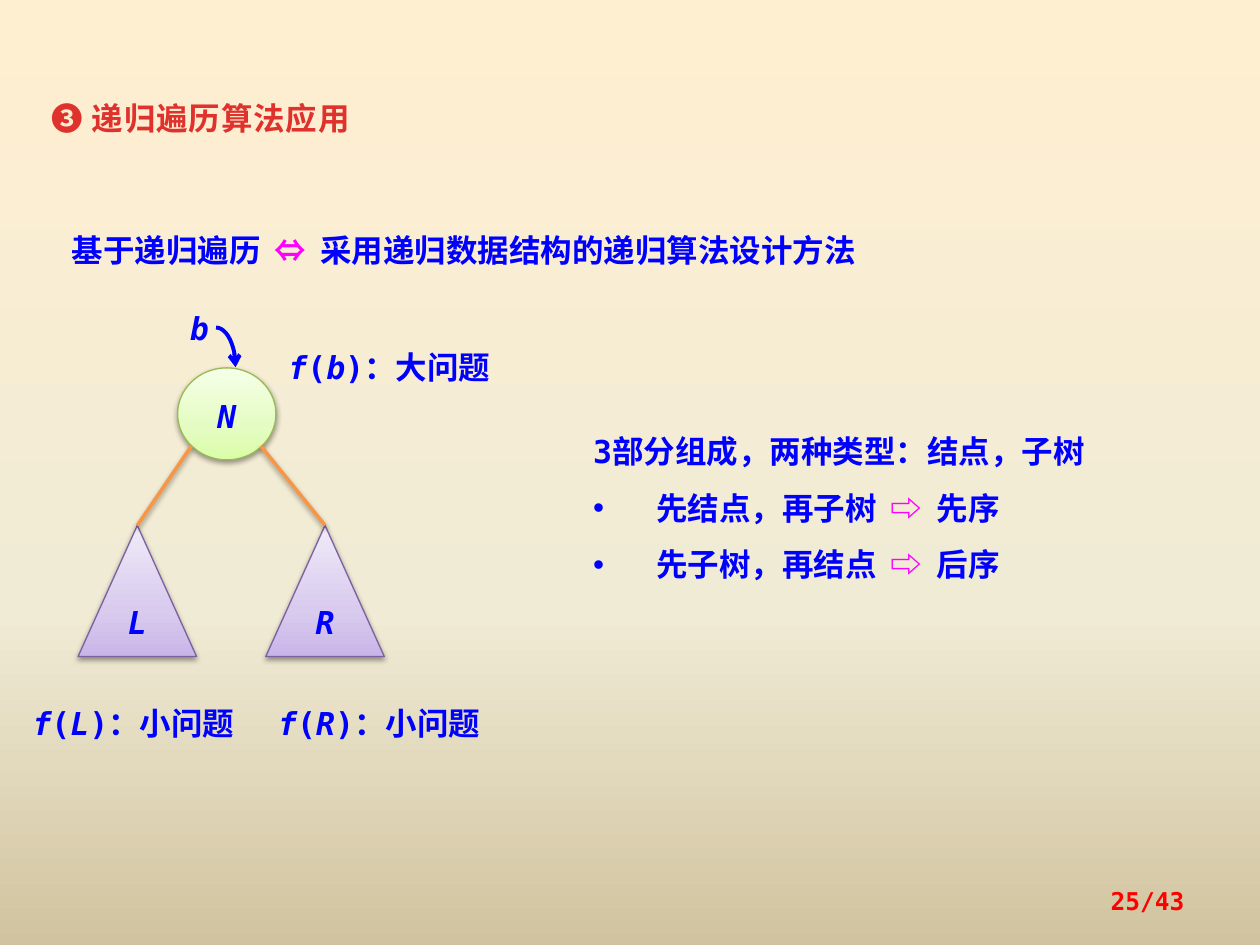
from copy import deepcopy

from lxml.etree import SubElement
from pptx import Presentation
from pptx.dml.color import RGBColor
from pptx.enum.shapes import MSO_CONNECTOR, MSO_SHAPE
from pptx.enum.text import MSO_ANCHOR, MSO_AUTO_SIZE, PP_ALIGN
from pptx.oxml.ns import qn
from pptx.util import Emu, Pt

PX = 9144  # 100 px to the inch
BLUE = RGBColor(0x00, 0x00, 0xFF)
MAGENTA = RGBColor(0xFF, 0x00, 0xFF)
RED = RGBColor(0xFF, 0x00, 0x00)
ORANGE = RGBColor(0xF7, 0x96, 0x46)
GREEN_EDGE = RGBColor(0x98, 0xB9, 0x55)
PURPLE_EDGE = RGBColor(0x7D, 0x60, 0xA0)

# Gradients: (percent, colour)
SAND = [(0, RGBColor(0xFF, 0xEF, 0xD1)), (65, RGBColor(0xF0, 0xEB, 0xD5)),
        (100, RGBColor(0xD1, 0xC3, 0x9F))]
GREEN = [(0, RGBColor(0xDA, 0xFD, 0xA7)), (35, RGBColor(0xE4, 0xFC, 0xC2)),
         (100, RGBColor(0xF5, 0xFF, 0xE7))]
PURPLE = [(0, RGBColor(0xC9, 0xB5, 0xE8)), (35, RGBColor(0xD8, 0xCB, 0xEE)),
          (100, RGBColor(0xF0, 0xEA, 0xF9))]
TITLE_RED = [(25, RGBColor(0xE0, 0x32, 0x2D)), (100, RGBColor(0xA2, 0x20, 0x1C))]
DOWN, UP = 270, 90  # counter-clockwise degrees


def px(*lengths):
    return [Emu(length * PX) for length in lengths]


class Board:
    latin = "DejaVu Sans Mono"
    asian = "Noto Sans CJK SC"

    def __init__(self, slide):
        self.slide = slide
        self.shapes = slide.shapes

    def background(self, stops):
        self.gradient(self.slide.background.fill, self.slide.element, stops, DOWN)

    def gradient(self, fill, owner, stops, angle):
        fill.gradient()
        fill.gradient_angle = angle
        stop_list = owner.find(".//" + qn("a:gsLst"))
        while len(stop_list) < len(stops):
            stop_list.append(deepcopy(stop_list[0]))
        for stop, (percent, color) in zip(fill.gradient_stops, stops):
            stop.position = percent / 100
            stop.color.rgb = color

    def shadow(self, shape):
        effects = shape.element.spPr.find(qn("a:effectLst"))
        if effects is None:
            effects = SubElement(shape.element.spPr, qn("a:effectLst"))
        outer = SubElement(effects, qn("a:outerShdw"), blurRad="40000",
                           dist="20000", dir="5400000", rotWithShape="0")
        black = SubElement(outer, qn("a:srgbClr"), val="000000")
        SubElement(black, qn("a:alpha"), val="38000")

    def span(self, para, text, color=BLUE, size=18, italic=False, font=None,
             spacing=0, stops=None):
        span = para.add_run()
        span.text = text
        span.font.name = font or self.latin
        span.font.size = Pt(size)
        span.font.bold = True
        span.font.italic = italic
        if stops:
            self.gradient(span.font.fill, para._p, stops, DOWN)
        else:
            span.font.fill.solid()
            span.font.fill.fore_color.rgb = color
        properties = span.font._element if hasattr(span.font, "_element") else span._r.get_or_add_rPr()
        if spacing:
            properties.set("spc", str(int(spacing * 100)))
        SubElement(properties, qn("a:ea"), typeface=self.asian)

    def spans(self, para, items):
        for text, style in items:
            self.span(para, text, **style)

    def bullet(self, para):
        properties = para._p.get_or_add_pPr()
        properties.set("marL", str(50 * PX))
        properties.set("indent", str(-50 * PX))
        SubElement(properties, qn("a:buFont"), typeface="Arial")
        SubElement(properties, qn("a:buChar"), char="•")

    def text(self, place, paras, spacing=Pt(30), align=PP_ALIGN.LEFT,
             anchor=MSO_ANCHOR.TOP, grow=True):
        """Each para is (bulleted, spans)."""
        frame = self.shapes.add_textbox(*px(*place)).text_frame
        frame.word_wrap = True
        frame.vertical_anchor = anchor
        if grow:
            frame.auto_size = MSO_AUTO_SIZE.SHAPE_TO_FIT_TEXT
        for index, (bulleted, items) in enumerate(paras):
            para = frame.add_paragraph() if index else frame.paragraphs[0]
            para.alignment = align
            para.line_spacing = spacing
            if bulleted:
                self.bullet(para)
            self.spans(para, items)

    def node(self, kind, place, label, stops, edge, spacing):
        shape = self.shapes.add_shape(kind, *px(*place))
        shape.shadow.inherit = False
        self.gradient(shape.fill, shape.element, stops, UP)
        shape.line.color.rgb = edge
        shape.line.width = Pt(0.75)
        self.shadow(shape)
        shape.text_frame.vertical_anchor = MSO_ANCHOR.MIDDLE
        para = shape.text_frame.paragraphs[0]
        para.alignment = PP_ALIGN.CENTER
        para.line_spacing = spacing
        self.span(para, label, italic=True)

    def branch(self, *ends):
        line = self.shapes.add_connector(MSO_CONNECTOR.STRAIGHT, *px(*ends))
        line.line.color.rgb = ORANGE
        line.line.width = Pt(2)
        self.shadow(line)

    def pointer(self, place):
        arc = self.shapes.add_shape(MSO_SHAPE.ARC, *px(*place))
        arc.shadow.inherit = False
        arc.fill.background()
        arc.line.color.rgb = BLUE
        arc.line.width = Pt(2.25)
        SubElement(arc.line._get_or_add_ln(), qn("a:tailEnd"), type="arrow")


def around(before, symbol, after):
    """Spans with a coloured symbol set off by a wide gap on each side."""
    gap = (" ", {"spacing": 4})
    return [(before, {}), gap, (symbol, {"color": MAGENTA}), gap, (after, {})]


def formula(argument, meaning):
    return [("f", {"italic": True}), ("(", {}), (argument, {"italic": True}),
            (")：" + meaning, {})]


def main():
    deck = Presentation()
    deck.slide_width, deck.slide_height = px(1000, 750)
    board = Board(deck.slides.add_slide(deck.slide_layouts[6]))
    board.background(SAND)

    # Heading and main statement
    heading = {"font": board.asian, "spacing": 0.5, "stops": TITLE_RED}
    board.text((31, 62, 352, 48), [(False, [("❸ 递归遍历算法应用", heading)])])
    board.text((47, 167, 789, 49), [
        (False, around("基于递归遍历", "⇔", "采用递归数据结构的递归算法设计方法"))])

    # Tree: root, two subtrees, branches
    board.node(MSO_SHAPE.OVAL, (141, 292, 78, 73), "N", GREEN, GREEN_EDGE, 1.1)
    for label, left, root_x in (("L", 62, 152), ("R", 211, 207)):
        board.node(MSO_SHAPE.ISOSCELES_TRIANGLE, (left, 417, 94, 104), label,
                   PURPLE, PURPLE_EDGE, Pt(20))
        board.branch(root_x, 354, left + 47, 417)

    # Pointer to the root
    board.pointer((156, 260, 31, 63))
    board.text((141, 229, 47, 52), [(False, [("b", {"italic": True})])])

    # Problem labels
    for left, top, argument, meaning in ((219, 260, "b", "大问题"),
                                         (16, 542, "L", "小问题"),
                                         (211, 542, "R", "小问题")):
        board.text((left, top, 188, 52), [(False, formula(argument, meaning))])

    # Traversal orders
    board.text((461, 323, 508, 146), [
        (False, [("3部分组成，两种类型：结点，子树", {})]),
        (True, around("先结点，再子树", "⇨", "先序")),
        (True, around("先子树，再结点", "⇨", "后序")),
    ], spacing=1.5)

    # Page number
    board.text((717, 695, 233, 40), [(False, [("25/43", {"color": RED, "size": 14})])],
               spacing=1.0, align=PP_ALIGN.RIGHT, anchor=MSO_ANCHOR.MIDDLE, grow=False)

    deck.save("out.pptx")


if __name__ == "__main__":
    main()
